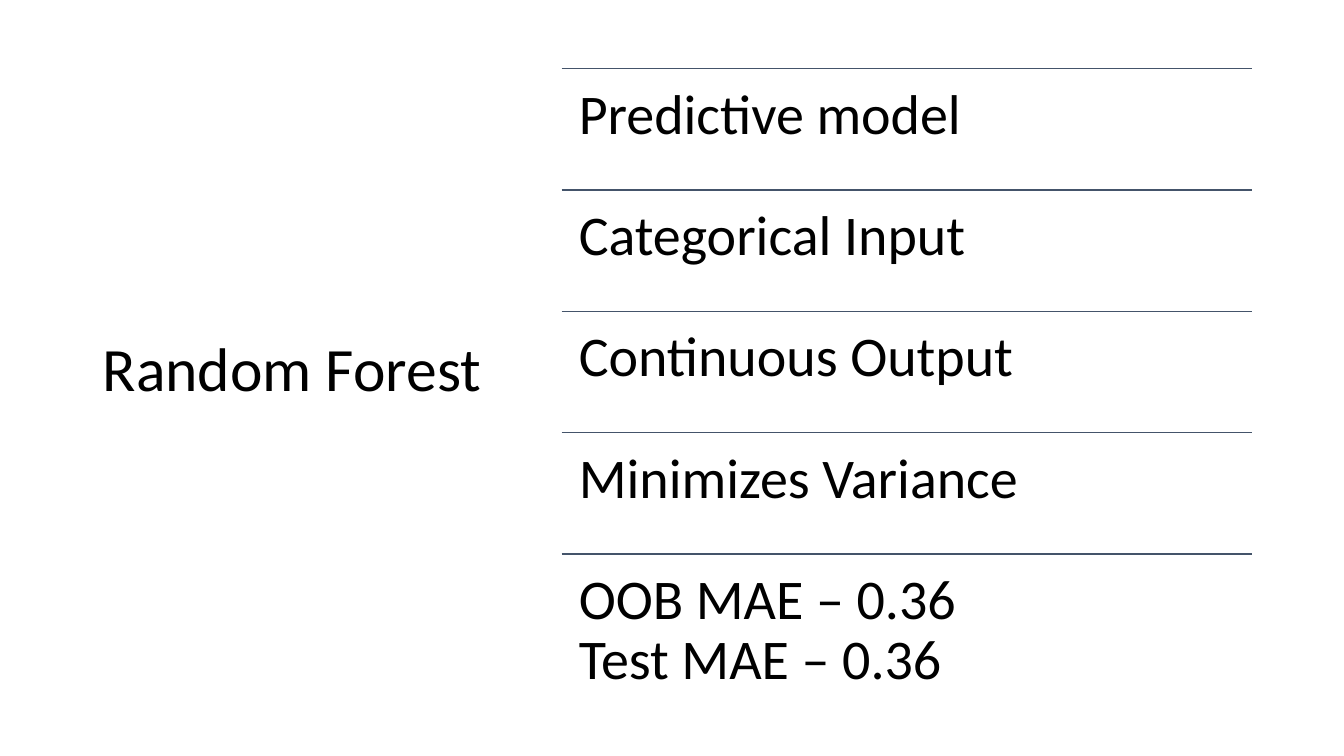
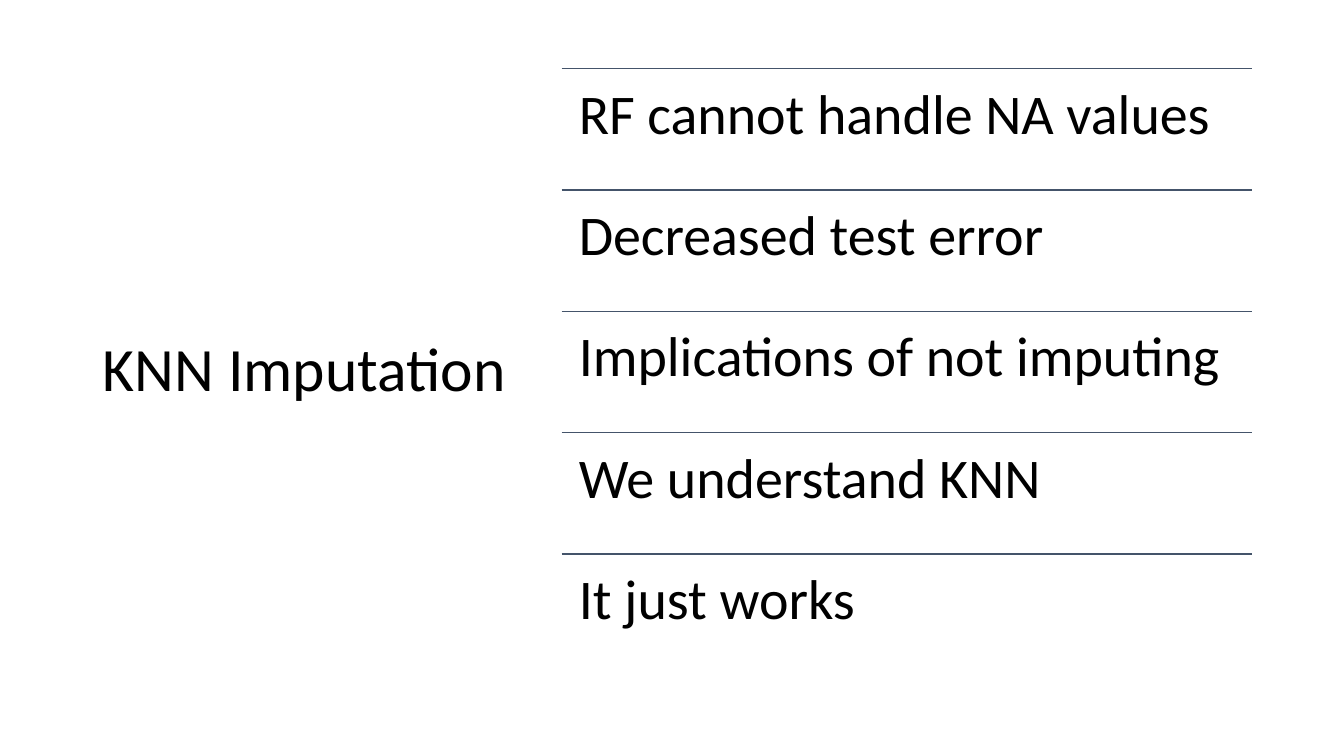
from dataclasses import dataclass

from lxml import etree
from pptx import Presentation
from pptx.dml.color import RGBColor
from pptx.enum.shapes import MSO_CONNECTOR
from pptx.enum.text import MSO_ANCHOR
from pptx.oxml.ns import qn
from pptx.shapes.group import GroupShape
from pptx.slide import Slide
from pptx.util import Inches, Pt

BLACK = RGBColor(0x00, 0x00, 0x00)
SLATE = RGBColor(0x44, 0x54, 0x6A)
STRAIGHT = MSO_CONNECTOR.STRAIGHT
TOP = MSO_ANCHOR.TOP
MIDDLE = MSO_ANCHOR.MIDDLE

FONT = "Calibri"
WIDTH, HEIGHT = 13.33, 7.5
BLANK = 6
MARGIN = 0.92
HEAD = 0.68
BODY = 6.02
LIST_LEFT = 5.57
LIST_WIDTH = 6.85
ROWS = 5
ROW = BODY / ROWS


@dataclass(frozen=True)
class Box:
    left: float
    top: float
    width: float
    height: float


@dataclass(frozen=True)
class Style:
    size: int
    anchor: MSO_ANCHOR
    side: float
    edge: float


@dataclass(frozen=True)
class Topic:
    title: str
    width: float
    points: tuple[str, ...]


TITLE = Style(44, MIDDLE, 0.1, 0.05)
POINT = Style(40, TOP, 0.17, 0.17)

TOPICS = (
    Topic("Random Forest", 4.03, (
        "Predictive model",
        "Categorical Input",
        "Continuous Output",
        "Minimizes Variance",
        "OOB MAE – 0.36\nTest MAE – 0.36",
    )),
    Topic("KNN Imputation", 4.21, (
        "RF cannot handle NA values",
        "Decreased test error",
        "Implications of not imputing",
        "We understand KNN",
        "It just works",
    )),
)


def add_text(host: Slide | GroupShape, box: Box, text: str, style: Style) -> None:
    shape = host.shapes.add_textbox(
        Inches(box.left), Inches(box.top), Inches(box.width), Inches(box.height)
    )
    frame = shape.text_frame
    frame.word_wrap = True
    frame.vertical_anchor = style.anchor
    frame.margin_left = frame.margin_right = Inches(style.side)
    frame.margin_top = frame.margin_bottom = Inches(style.edge)
    para = frame.paragraphs[0]
    para.text = text
    para.line_spacing = 0.9
    para.font.name = FONT
    para.font.size = Pt(style.size)
    para.font.color.rgb = BLACK


def add_rule(host: GroupShape, box: Box) -> None:
    rule = host.shapes.add_connector(
        STRAIGHT, Inches(box.left), Inches(box.top),
        Inches(box.left + box.width), Inches(box.top),
    )
    rule.line.color.rgb = SLATE
    rule.line.width = Pt(1)
    etree.SubElement(rule.element.spPr, qn("a:effectLst"))


def add_topic(slide: Slide, topic: Topic) -> None:
    add_text(slide, Box(MARGIN, HEAD, topic.width, BODY), topic.title, TITLE)
    group = slide.shapes.add_group_shape()
    for index, point in enumerate(topic.points):
        box = Box(LIST_LEFT, HEAD + index * ROW, LIST_WIDTH, ROW)
        add_rule(group, box)
        add_text(group, box, point, POINT)


def main() -> None:
    deck = Presentation()
    deck.slide_width = Inches(WIDTH)
    deck.slide_height = Inches(HEIGHT)
    for topic in TOPICS:
        add_topic(deck.slides.add_slide(deck.slide_layouts[BLANK]), topic)
    deck.save("out.pptx")


if __name__ == "__main__":
    main()
